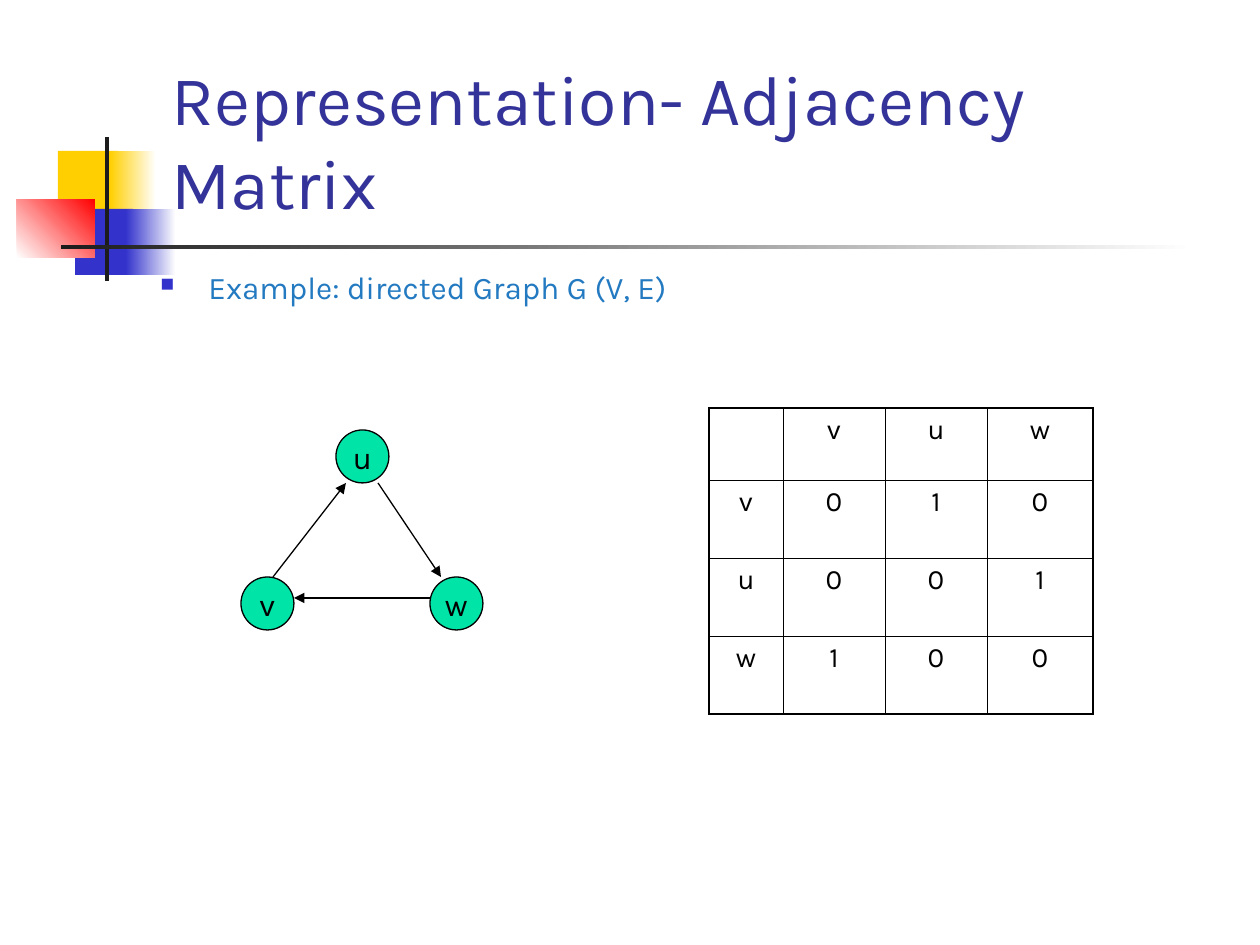
from dataclasses import dataclass

from lxml.etree import SubElement
from pptx import Presentation
from pptx.dml.color import RGBColor
from pptx.enum.shapes import MSO_CONNECTOR, MSO_SHAPE
from pptx.enum.text import MSO_ANCHOR, PP_ALIGN
from pptx.oxml.ns import qn
from pptx.util import Emu, Pt

PX_PER_INCH = 126


@dataclass(frozen=True)
class Theme:
    font: str = "Karla"
    title: str = "333399"
    body: str = "237AC1"
    ink: str = "000000"
    white: str = "FFFFFF"
    yellow: str = "FFCF01"
    blue: str = "3333CC"
    red: str = "FF0000"
    dark: str = "1C1C1C"
    node: str = "00E4A8"
    title_size: int = 40
    body_size: int = 18
    cell_size: int = 16
    line: float = 0.75
    outer_border: float = 1.08
    inner_border: float = 0.45


THEME = Theme()


def px(n):
    return Emu(round(n * 914400 / PX_PER_INCH))


def box(*lengths):
    return [px(n) for n in lengths]


def rgb(color):
    return RGBColor.from_string(color)


def write(tf, text, size, color, align=PP_ALIGN.LEFT):
    p = tf.paragraphs[0]
    p.alignment = align
    r = p.add_run()
    r.text = text
    for name, value in {"name": THEME.font, "size": Pt(size)}.items():
        setattr(r.font, name, value)
    r.font.color.rgb = rgb(color)
    return p


def add_text(slide, bounds, text, size, color, anchor=MSO_ANCHOR.TOP):
    tf = slide.shapes.add_textbox(*box(*bounds)).text_frame
    for name, value in {"word_wrap": True, "vertical_anchor": anchor}.items():
        setattr(tf, name, value)
    return write(tf, text, size, color)


def add_bullet(p, indent, color, percent):
    pPr = p._p.get_or_add_pPr()
    pPr.set("marL", str(px(indent)))
    pPr.set("indent", str(-px(indent)))
    clr = SubElement(pPr, qn("a:buClr"))
    SubElement(clr, qn("a:srgbClr"), val=color)
    SubElement(pPr, qn("a:buSzPct"), val=str(percent * 1000))
    SubElement(pPr, qn("a:buChar"), char="■")


def add_block(slide, bounds, start, end=None, angle=0):
    """Borderless rectangle, solid or fading from start to end."""
    sp = slide.shapes.add_shape(MSO_SHAPE.RECTANGLE, *box(*bounds))
    sp.shadow.inherit = False
    sp.line.fill.background()
    if end is None:
        sp.fill.solid()
        sp.fill.fore_color.rgb = rgb(start)
        return
    sp.fill.gradient()
    sp.fill.gradient_angle = angle
    for stop, color in zip(sp.fill.gradient_stops, (start, end)):
        stop.color.rgb = rgb(color)


def add_node(slide, label, left, top, size=53):
    sp = slide.shapes.add_shape(MSO_SHAPE.OVAL, *box(left, top, size, size))
    sp.shadow.inherit = False
    sp.fill.solid()
    sp.fill.fore_color.rgb = rgb(THEME.node)
    sp.line.color.rgb = rgb(THEME.ink)
    sp.line.width = Pt(THEME.line)
    tf = sp.text_frame
    for name, value in {"word_wrap": False, "vertical_anchor": MSO_ANCHOR.MIDDLE}.items():
        setattr(tf, name, value)
    write(tf, label, THEME.body_size, THEME.ink, PP_ALIGN.CENTER)


def add_arrow(slide, start, end):
    line = slide.shapes.add_connector(MSO_CONNECTOR.STRAIGHT, *box(*start, *end))
    line.line.color.rgb = rgb(THEME.ink)
    line.line.width = Pt(THEME.line)
    SubElement(line.line._get_or_add_ln(), qn("a:tailEnd"), type="triangle")
    SubElement(line._element.spPr, qn("a:effectLst"))


def set_borders(cell, outer_sides):
    tcPr = cell._tc.get_or_add_tcPr()
    for i, side in enumerate("LRTB"):
        width = THEME.outer_border if side in outer_sides else THEME.inner_border
        ln = tcPr.makeelement(qn(f"a:ln{side}"), {"w": str(Pt(width))})
        fill = SubElement(ln, qn("a:solidFill"))
        SubElement(fill, qn("a:srgbClr"), val=THEME.ink)
        tcPr.insert(i, ln)


def add_matrix(slide, left, top, widths, heights, rows):
    bounds = box(left, top, sum(widths), sum(heights))
    table = slide.shapes.add_table(len(rows), len(widths), *bounds).table
    table.first_row = table.horz_banding = False
    for column, width in zip(table.columns, widths):
        column.width = px(width)
    for row, height in zip(table.rows, heights):
        row.height = px(height)
    for i, values in enumerate(rows):
        for j, value in enumerate(values):
            cell = table.cell(i, j)
            cell.fill.background()
            edges = {"T": i == 0, "B": i == len(rows) - 1,
                     "L": j == 0, "R": j == len(values) - 1}
            set_borders(cell, [side for side, outer in edges.items() if outer])
            if value:
                write(cell.text_frame, value, THEME.cell_size, THEME.ink, PP_ALIGN.CENTER)


def main():
    prs = Presentation()
    prs.slide_width, prs.slide_height = box(1260, 945)
    slide = prs.slides.add_slide(prs.slide_layouts[6])
    t = THEME

    # Corner decoration and title rule
    add_block(slide, (58, 151, 60, 66), t.yellow)
    add_block(slide, (110, 151, 46, 66), t.yellow, t.white)
    add_block(slide, (75, 209, 58, 66), t.blue)
    add_block(slide, (126, 209, 50, 66), t.blue, t.white)
    add_block(slide, (17, 199, 78, 59), t.white, t.red, 45)
    add_block(slide, (105, 137, 4, 144), t.dark)
    add_block(slide, (61, 245, 1134, 4), t.dark, t.white)

    # Title and bullet line
    add_text(slide, (159, 29, 1074, 201), "Representation- Adjacency Matrix",
             t.title_size, t.title, MSO_ANCHOR.BOTTOM)
    p = add_text(slide, (148, 262, 924, 84), "Example: directed Graph G (V, E)",
                 t.body_size, t.body)
    add_bullet(p, 48, t.blue, 60)

    # Adjacency matrix
    add_matrix(slide, 709, 408, (74, 102, 102, 106), (72, 78, 78, 78),
               [["", "v", "u", "w"],
                ["v", "0", "1", "0"],
                ["u", "0", "0", "1"],
                ["w", "1", "0", "0"]])

    # Directed graph
    for label, left, top in (("u", 336, 430), ("v", 241, 577), ("w", 430, 577)):
        add_node(slide, label, left, top)
    for start, end in (((378, 483), (441, 577)),
                       ((430, 598), (294, 598)),
                       ((273, 577), (346, 483))):
        add_arrow(slide, start, end)

    prs.save("out.pptx")


if __name__ == "__main__":
    main()
